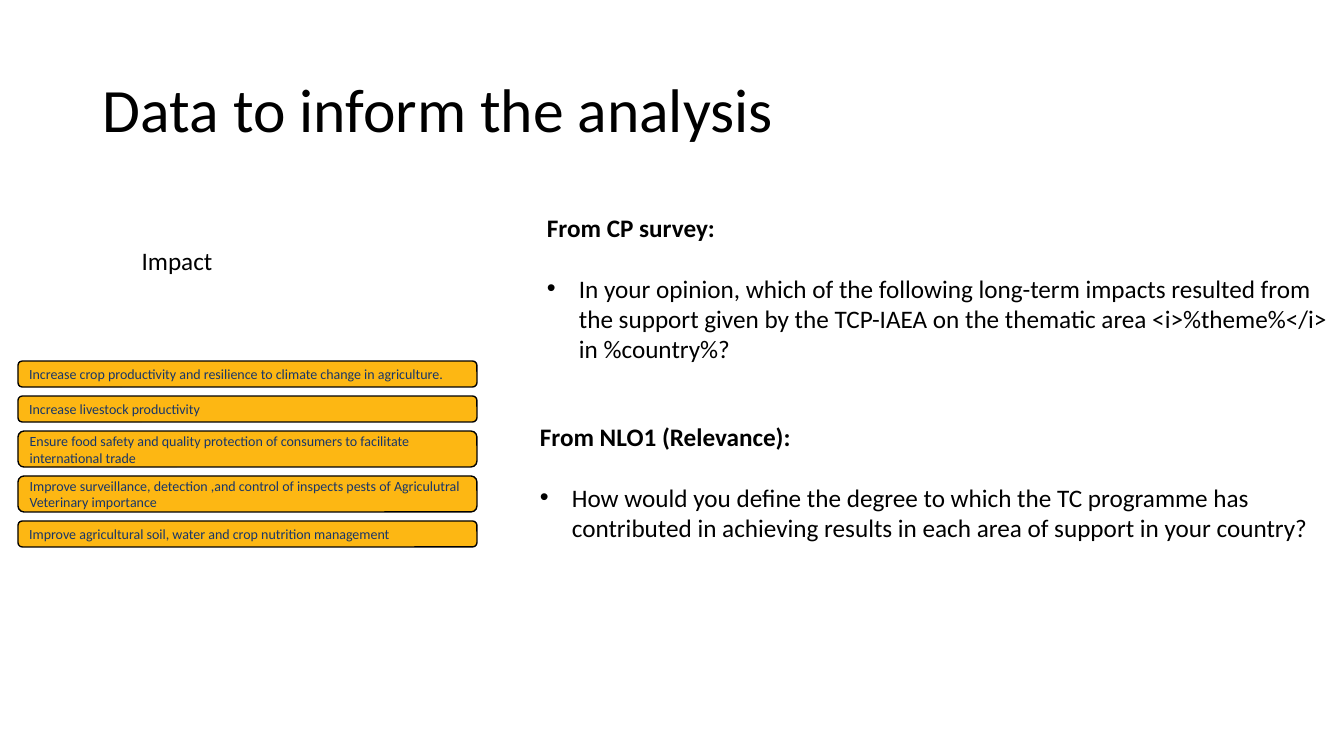
from lxml.etree import SubElement
from pptx import Presentation
from pptx.dml.color import RGBColor
from pptx.enum.shapes import MSO_SHAPE
from pptx.enum.text import MSO_ANCHOR, PP_ALIGN
from pptx.oxml.ns import qn
from pptx.util import Pt

PX = 914400 / 100.8
FONT = "Calibri"
COLORS = {"text": "000000", "bar": "FDB713", "bar_line": "000000", "bar_text": "183668"}
BAR_GAP = 9
IMPACTS = [  # wording, height
    ("Increase crop productivity and resilience to climate change in agriculture.", 26),
    ("Increase livestock productivity", 26),
    ("Ensure food safety and quality protection of consumers to facilitate international trade", 36),
    ("Improve surveillance, detection ,and control of inspects pests of Agriculutral Veterinary importance", 36),
    ("Improve agricultural soil, water and crop nutrition management", 26),
]


def px(length):
    return round(length * PX)


def color(name):
    return RGBColor.from_string(COLORS[name])


def style(para, size, color_name="text", bold=False):
    for span in para.runs:
        span.font.name = FONT
        span.font.size = Pt(size)
        span.font.bold = bold
        span.font.color.rgb = color(color_name)


def add_text(page, left, top, width, height):
    box = page.shapes.add_textbox(px(left), px(top), px(width), px(height))
    box.text_frame.word_wrap = True
    return box.text_frame


def add_bullet(para, indent):
    properties = para._p.get_or_add_pPr()
    properties.set("marL", str(px(indent)))
    properties.set("indent", str(-px(indent)))
    SubElement(properties, qn("a:buFont"), typeface="Arial")
    SubElement(properties, qn("a:buChar"), char="•")


def add_title(page, left, top, width, height):
    frame = add_text(page, left, top, width, height)
    frame.vertical_anchor = MSO_ANCHOR.MIDDLE
    para = frame.paragraphs[0]
    para.text = "Data to inform the analysis"
    para.line_spacing = 0.9
    style(para, 44)


def add_impact_heading(page, left, top, width, height):
    para = add_text(page, left, top, width, height).paragraphs[0]
    para.text = "Impact"
    para.alignment = PP_ALIGN.CENTER
    style(para, 18)


def add_impact_bars(page, left, top, width):
    for wording, height in IMPACTS:
        bar = page.shapes.add_shape(
            MSO_SHAPE.ROUNDED_RECTANGLE, px(left), px(top), px(width), px(height))
        bar.shadow.inherit = False
        bar.fill.solid()
        bar.fill.fore_color.rgb = color("bar")
        bar.line.color.rgb = color("bar_line")
        bar.line.width = Pt(1)
        frame = bar.text_frame
        frame.word_wrap = True
        frame.vertical_anchor = MSO_ANCHOR.MIDDLE
        para = frame.paragraphs[0]
        para.text = wording
        para.alignment = PP_ALIGN.LEFT
        style(para, 10, "bar_text")
        top += height + BAR_GAP


def add_question(page, left, top, width, height, heading, question):
    frame = add_text(page, left, top, width, height)
    first = frame.paragraphs[0]
    first.text = heading
    style(first, 18, bold=True)
    second = frame.add_paragraph()
    second.text = question
    second.space_before = Pt(22)
    add_bullet(second, 32)
    style(second, 18)


def main():
    deck = Presentation()
    deck.slide_width, deck.slide_height = px(1344), px(756)
    page = deck.slides.add_slide(deck.slide_layouts[6])

    # Title
    add_title(page, 93, 40, 1159, 146)

    # Impacts on the left
    add_impact_heading(page, 18, 240, 318, 40)
    add_impact_bars(page, 18, 361, 459)

    # Survey questions on the right
    add_question(
        page, 537, 207, 806, 194, "From CP survey:",
        "In your opinion, which of the following long-term impacts resulted from the support "
        "given by the TCP-IAEA on the thematic area <i>%theme%</i> in %country%?")
    add_question(
        page, 530, 416, 806, 132, "From NLO1 (Relevance):",
        "How would you define the degree to which the TC programme has contributed in "
        "achieving results in each area of support in your country?")

    deck.save("out.pptx")


if __name__ == "__main__":
    main()
